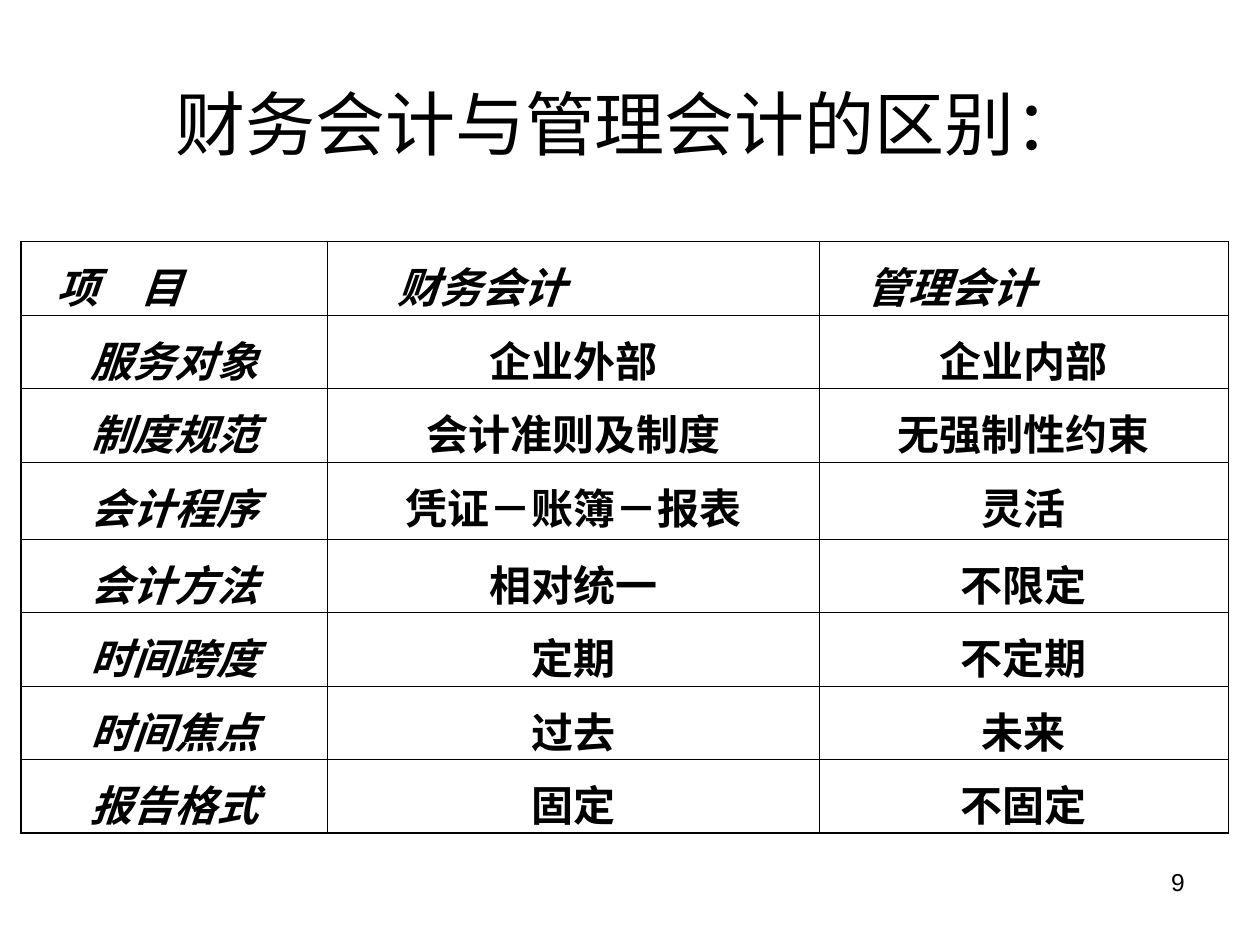
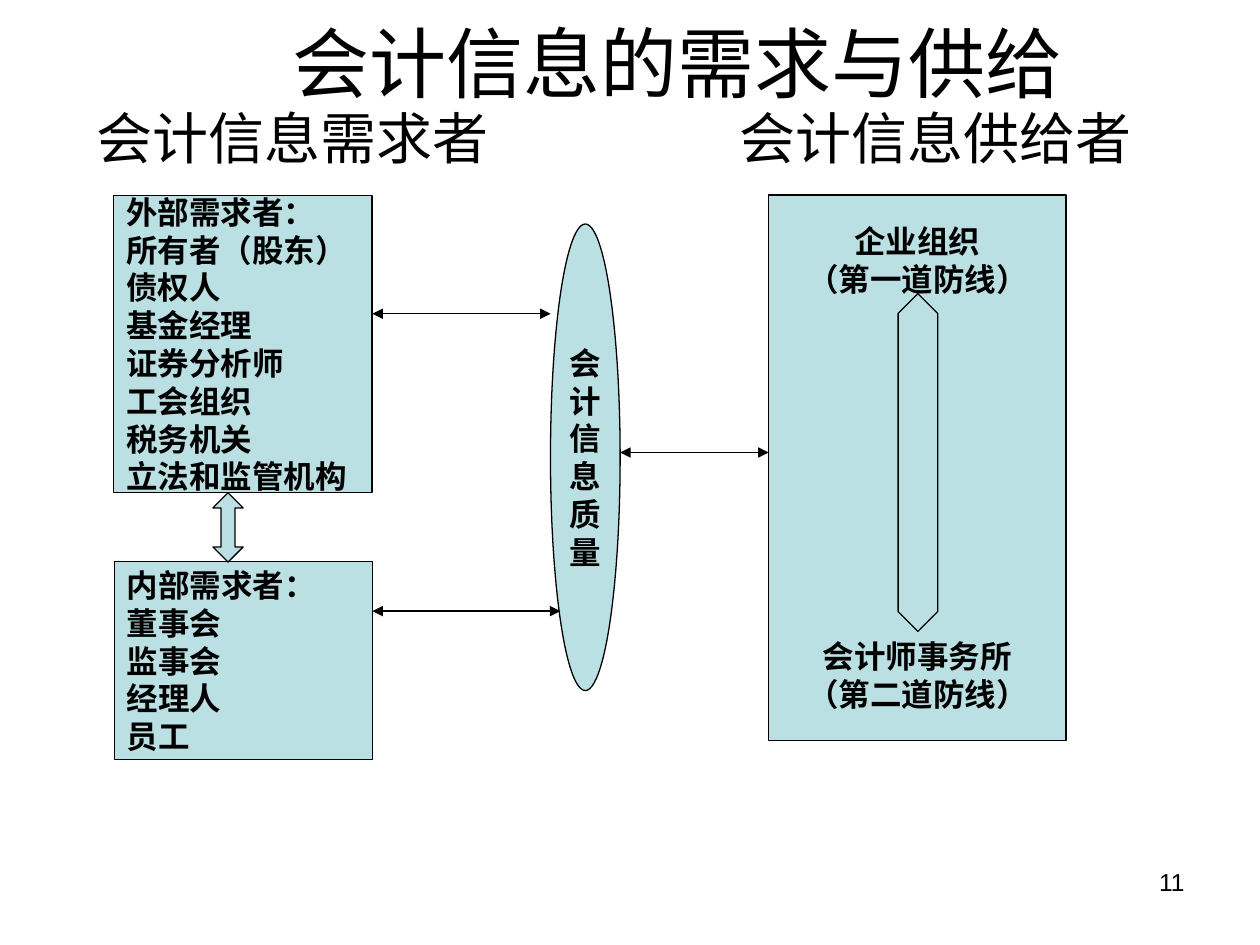
from dataclasses import dataclass
from pptx import Presentation
from pptx import util as u
from pptx.dml import color
from pptx.enum import shapes, text
from pptx.oxml import ns
from lxml import etree

Pt = u.Pt
Kind = shapes.MSO_SHAPE
Left, Mid, Right = text.PP_ALIGN.LEFT, text.PP_ALIGN.CENTER, text.PP_ALIGN.RIGHT


@dataclass
class Theme:
    font: str = "Arial"
    ink: str = "000000"
    fill: str = "BBE0E3"
    paper: str = "FFFFFF"
    page: int = 14
    note: int = 18
    cell: int = 24
    label: int = 32
    thin: float = 0.45
    thick: float = 1.08
    line: float = 0.75


T = Theme()

DIFFS = {
    "title": "财务会计与管理会计的区别：", "size": 40, "page": "9",
    "box": (36, 28.8, 648, 82.8),
}
HEAD = [("项　目", 13), ("财务会计", 33), ("管理会计", 20)]
ROWS = [
    ("服务对象", "企业外部", "企业内部"),
    ("制度规范", "会计准则及制度", "无强制性约束"),
    ("会计程序", "凭证－账簿－报表", "灵活"),
    ("会计方法", "相对统一", "不限定"),
    ("时间跨度", "定期", "不定期"),
    ("时间焦点", "过去", "未来"),
    ("报告格式", "固定", "不固定"),
]
COLS = (175, 281, 234)
HIGH, TALL, TALL_ROW = 42, 44, 3

FLOW = {
    "title": "会计信息的需求与供给", "size": 44, "page": "11",
    "box": (63.4, -10, 648, 90),
}
LABELS = [("会计信息需求者", 48.2), ("会计信息供给者", 415.6)]
OUTER = ["外部需求者：", "所有者（股东）", "债权人", "基金经理",
         "证券分析师", "工会组织", "税务机关", "立法和监管机构"]
INNER = ["内部需求者：", "董事会", "监事会", "经理人", "员工"]
GUARDS = ["企业组织", "（第一道防线）", "会计师事务所", "（第二道防线）"]
GAP = 194
NODES = [
    (Kind.RECTANGLE, (65, 111.6, 147.6, 170), OUTER, Left),
    (Kind.RECTANGLE, (65.4, 321, 147.6, 113), INNER, Left),
    (Kind.RECTANGLE, (439.2, 111.4, 170, 311.8), GUARDS, Mid),
    (Kind.OVAL, (314.6, 128, 39.8, 266.6), list("会计信息质量"), Mid),
]
ARROWS = [((121.7, 281.6, 17.3, 39.6), 0.466), ((513.2, 167.8, 22.6, 193), 1.696)]
LINKS = [(354.4, 439.2, 258.6), (212.8, 314.6, 179.3), (212.8, 320.2, 349.2)]


def rgb(tone):
    return color.RGBColor.from_string(tone)


def write(frame, lines, size, align=Left, bold=False, slant=False):
    frame.text = "\n".join(lines)
    for para in frame.paragraphs:
        para.alignment = align
        for run in para.runs:
            font = run.font
            font.name, font.size = T.font, Pt(size)
            font.bold, font.italic = bold, slant
            font.color.rgb = rgb(T.ink)


def add_text(slide, box, line, size, align=Left, anchor=text.MSO_ANCHOR.TOP):
    frame = slide.shapes.add_textbox(*map(Pt, box)).text_frame
    frame.word_wrap = True
    frame.vertical_anchor = anchor
    write(frame, [line], size, align)


def start(deck, head):
    slide = deck.slides.add_slide(deck.slide_layouts[6])
    add_text(slide, head["box"], head["title"], head["size"], Mid,
             text.MSO_ANCHOR.MIDDLE)
    add_text(slide, (516, 492, 168, 37.5), head["page"], T.page, Right)
    return slide


def add_shape(slide, kind, box):
    shape = slide.shapes.add_shape(kind, *map(Pt, box))
    shape.shadow.inherit = False
    shape.fill.solid()
    shape.fill.fore_color.rgb = rgb(T.fill)
    shape.line.color.rgb = rgb(T.ink)
    shape.line.width = Pt(T.line)
    return shape


def add_link(slide, left, right, y):
    link = slide.shapes.add_connector(
        shapes.MSO_CONNECTOR.STRAIGHT, Pt(left), Pt(y), Pt(right), Pt(y))
    link.line.color.rgb = rgb(T.ink)
    link.line.width = Pt(T.line)
    props = link.line._get_or_add_ln()
    for end in ("headEnd", "tailEnd"):
        etree.SubElement(props, ns.qn("a:" + end), type="triangle")
    etree.SubElement(link._element.spPr, ns.qn("a:effectLst"))


def edge(cell, sides):
    props = cell._tc.get_or_add_tcPr()
    for spot, (side, width) in enumerate(sides.items()):
        line = etree.Element(ns.qn("a:ln" + side), w=str(int(Pt(width))))
        fill = etree.SubElement(line, ns.qn("a:solidFill"))
        etree.SubElement(fill, ns.qn("a:srgbClr"), val=T.ink)
        props.insert(spot, line)


def add_grid(slide):
    count, wide = len(ROWS) + 1, len(COLS)
    highs = [TALL if row == TALL_ROW else HIGH for row in range(count)]
    grid = slide.shapes.add_table(
        count, wide, Pt(12), Pt(138), Pt(sum(COLS)), Pt(sum(highs))).table
    grid.first_row = grid.horz_banding = False
    for col, width in zip(grid.columns, COLS):
        col.width = Pt(width)
    for row, high in zip(grid.rows, highs):
        row.height = Pt(high)
    words = [[word for word, _ in HEAD], *ROWS]
    for r, row in enumerate(words):
        for c, word in enumerate(row):
            cell = grid.cell(r, c)
            cell.margin_top, cell.margin_bottom = Pt(7.6), Pt(5.6)
            cell.margin_left = Pt(7.2 + (HEAD[c][1] if r == 0 else 0))
            cell.fill.solid()
            cell.fill.fore_color.rgb = rgb(T.paper)
            write(cell.text_frame, [word], T.cell, Mid if r else Left,
                  True, r == 0 or c == 0)
            outer = {"L": c == 0, "R": c == wide - 1,
                     "T": r == 0, "B": r == count - 1}
            edge(cell, {side: T.thick if rim else T.thin
                        for side, rim in outer.items()})


def add_flow(slide):
    for word, left in LABELS:
        add_text(slide, (left, 55.4, 260, 48), word, T.label)
    for kind, box, lines, align in NODES:
        frame = add_shape(slide, kind, box).text_frame
        frame.word_wrap = False
        frame.vertical_anchor = text.MSO_ANCHOR.MIDDLE
        write(frame, lines, T.note, align, True)
        if lines is GUARDS:
            frame.paragraphs[2].space_before = Pt(GAP)
    for box, tip in ARROWS:
        arrow = add_shape(slide, Kind.UP_DOWN_ARROW, box)
        arrow.adjustments[0], arrow.adjustments[1] = 0.5, tip
    for link in LINKS:
        add_link(slide, *link)


def main():
    deck = Presentation()
    deck.slide_width, deck.slide_height = Pt(720), Pt(540)
    add_grid(start(deck, DIFFS))
    add_flow(start(deck, FLOW))
    deck.save("out.pptx")


if __name__ == "__main__":
    main()
